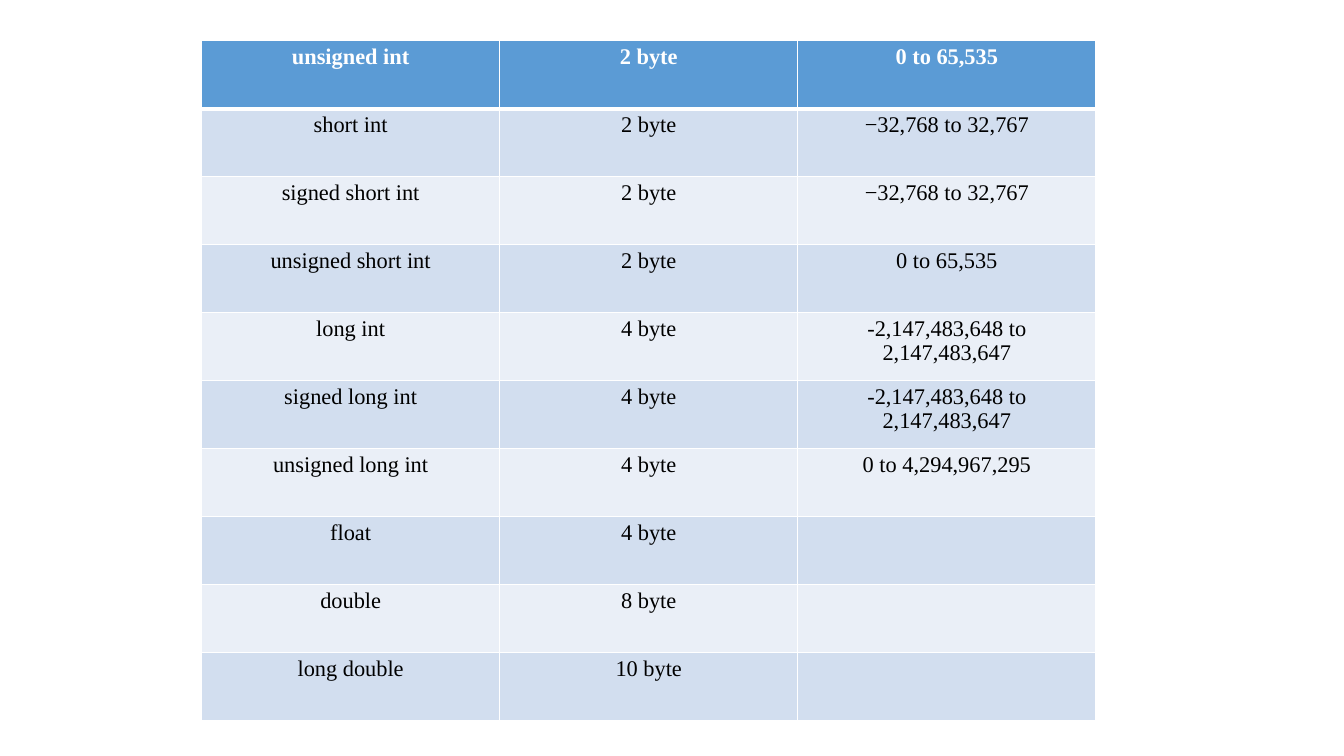
from lxml.etree import SubElement
from pptx import Presentation
from pptx.dml.color import RGBColor
from pptx.enum.text import PP_ALIGN
from pptx.oxml.ns import qn
from pptx.util import Inches, Pt

WHITE = RGBColor(0xFF, 0xFF, 0xFF)
BLACK = RGBColor(0, 0, 0)
BLUE = RGBColor(0x5B, 0x9B, 0xD5)
BANDS = RGBColor(0xEA, 0xEF, 0xF7), RGBColor(0xD2, 0xDE, 0xEF)
FONT = "Times New Roman"
WIDE, HIGH = Inches(13.33), Inches(7.5)

TYPES = [
    ("unsigned int", "2 byte", "0 to 65,535"),
    ("short int", "2 byte", "−32,768 to 32,767"),
    ("signed short int", "2 byte", "−32,768 to 32,767"),
    ("unsigned short int", "2 byte", "0 to 65,535"),
    ("long int", "4 byte", "-2,147,483,648 to 2,147,483,647"),
    ("signed long int", "4 byte", "-2,147,483,648 to 2,147,483,647"),
    ("unsigned long int", "4 byte", "0 to 4,294,967,295"),
    ("float", "4 byte", ""),
    ("double", "8 byte", ""),
    ("long double", "10 byte", ""),
]


def write(frame, text, size=16, color=BLACK, bold=False):
    para = frame.paragraphs[0]
    para.alignment = PP_ALIGN.CENTER
    para.line_spacing = 0.95
    para.font.size = Pt(size)
    if text:
        run = para.add_run()
        run.text = text
        run.font.name = FONT
        run.font.size = Pt(size)
        run.font.bold = bold
        run.font.color.rgb = color


def edge(cell, **widths):
    props = cell._tc.get_or_add_tcPr()
    for side in "LRTB":
        line = SubElement(props, qn(f"a:ln{side}"), w=str(Pt(widths.get(side, 1))))
        fill = SubElement(line, qn("a:solidFill"))
        SubElement(fill, qn("a:srgbClr"), val=str(WHITE))


def paint(cell, color):
    cell.fill.solid()
    cell.fill.fore_color.rgb = color


def grid(slide, data, left, top, width, height):
    rows, cols = len(data), len(data[0])
    table = slide.shapes.add_table(rows, cols, left, top, width, height).table
    for r, row in enumerate(data):
        head = r == 0
        for c, text in enumerate(row):
            cell = table.cell(r, c)
            edge(cell, T=3 if r == 1 else 1, B=3 if head else 1)
            paint(cell, BLUE if head else BANDS[r % 2])
            write(cell.text_frame, text, color=WHITE if head else BLACK, bold=head)


def main():
    deck = Presentation()
    deck.slide_width, deck.slide_height = WIDE, HIGH
    slide = deck.slides.add_slide(deck.slide_layouts[6])
    grid(slide, TYPES, int(WIDE * 0.15), int(HIGH * 0.054),
         int(WIDE * 0.6654), int(HIGH * 0.8987))
    deck.save("out.pptx")


if __name__ == "__main__":
    main()
